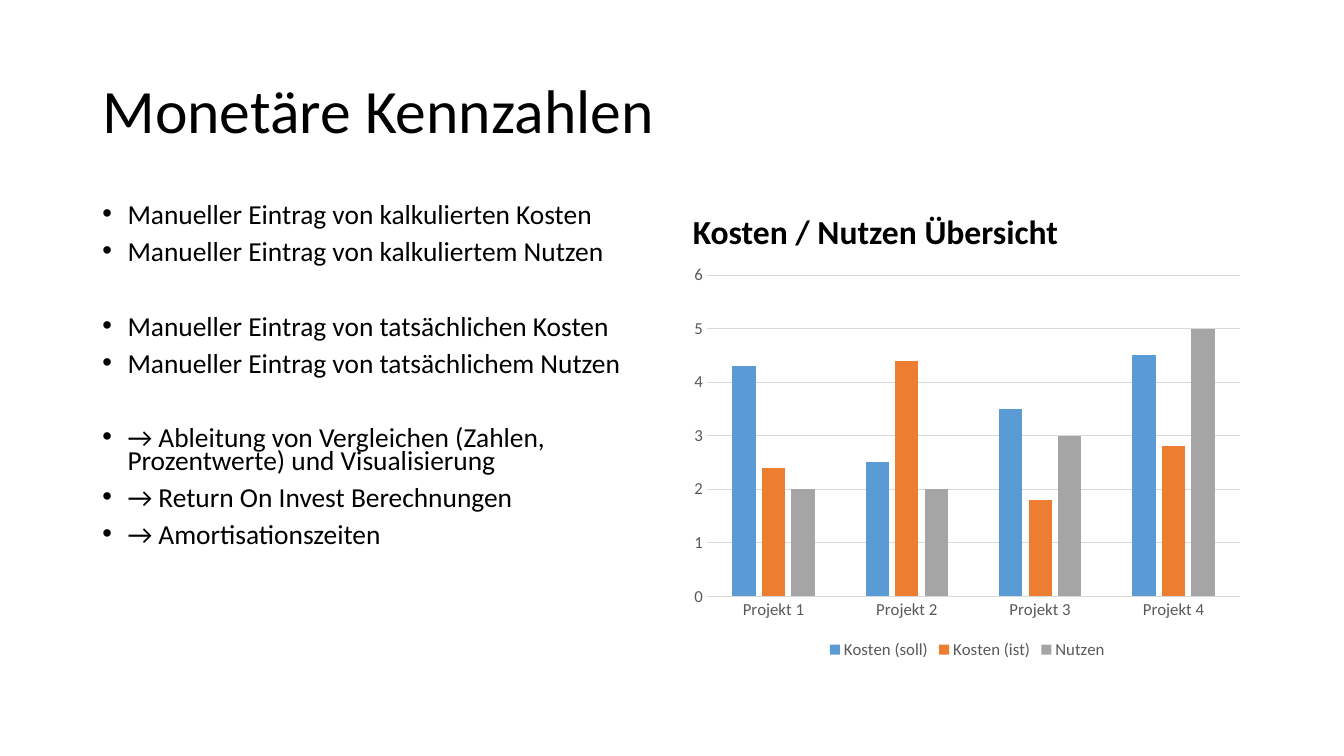
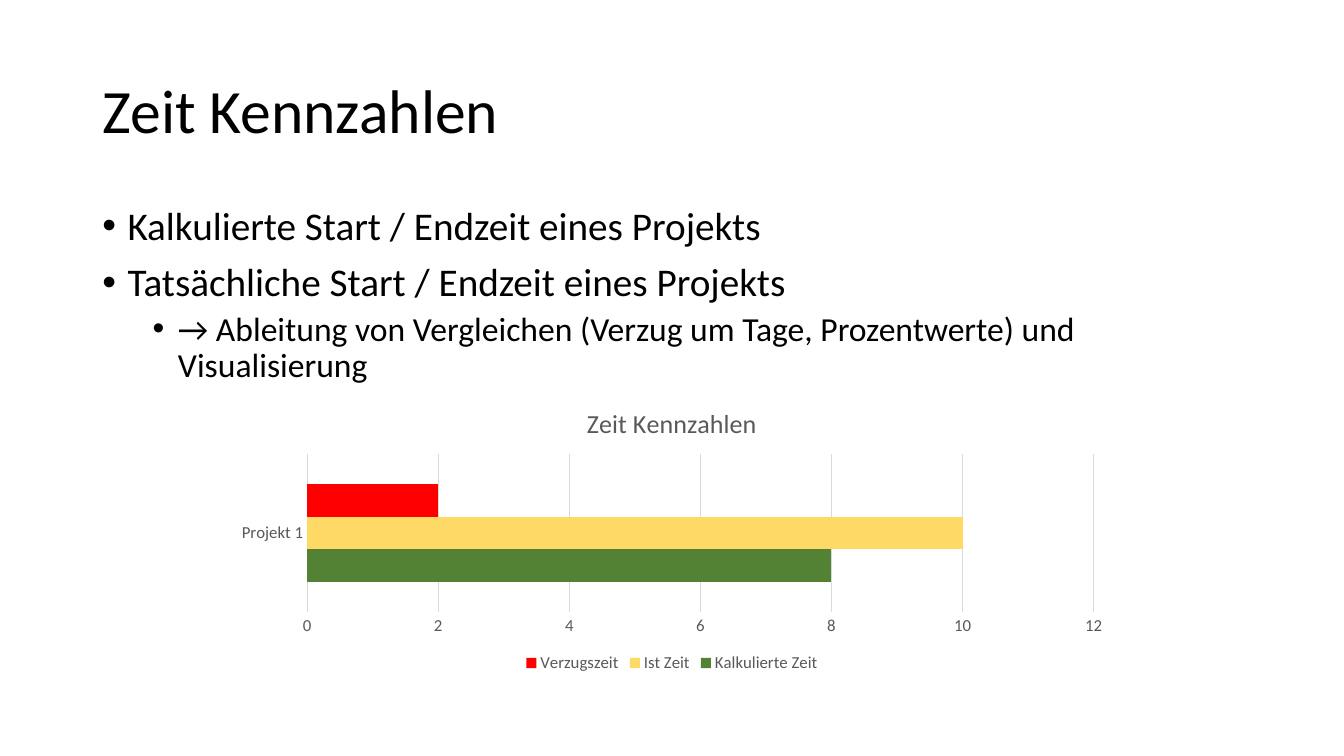
import dataclasses
import typing

import pptx
import pptx.chart.chart
import pptx.chart.data
import pptx.dml.color
import pptx.enum.chart
import pptx.enum.text
import pptx.oxml.ns
import pptx.oxml.xmlchemy
import pptx.slide
import pptx.text.text
import pptx.util
import lxml.etree


@dataclasses.dataclass(frozen=True)
class Theme:
    font: str = "Calibri"
    text: str = "000000"
    chart_text: str = "595959"
    grid: str = "D9D9D9"
    blue: str = "5B9BD5"
    orange: str = "ED7D31"
    gray: str = "A5A5A5"
    green: str = "548235"
    yellow: str = "FFD966"
    red: str = "FF0000"
    title_size: float = 44
    body_size: float = 28
    detail_size: float = 24
    compact_size: float = 19.6
    chart_title_size: float = 18.6
    chart_size: float = 12
    line_width: float = 0.75
    line_spacing: float = 0.9
    compact_spacing: float = 0.7


THEME = Theme()
WIDTH = pptx.util.Inches(13.33)
HEIGHT = pptx.util.Inches(7.5)
COLUMNS, ROWS = 160, 90
INDENT = pptx.util.Inches(0.25)


class Area(typing.NamedTuple):
    column: float
    row: float
    columns: float
    rows: float

    def formats(self) -> dict[str, int]:
        return {
            "left": round(WIDTH * self.column / COLUMNS),
            "top": round(HEIGHT * self.row / ROWS),
            "width": round(WIDTH * self.columns / COLUMNS),
            "height": round(HEIGHT * self.rows / ROWS),
        }


class Line(typing.NamedTuple):
    text: str
    size: float
    before: float = 10
    spacing: float = THEME.line_spacing
    level: int = 0
    bullet: bool = True
    bold: bool = False


class Series(typing.NamedTuple):
    name: str
    values: tuple[float, ...]
    color: str


@dataclasses.dataclass(frozen=True)
class ChartPlan:
    kind: pptx.enum.chart.XL_CHART_TYPE
    area: Area
    categories: tuple[str, ...]
    series: tuple[Series, ...]
    gap: int
    overlap: int = 0
    title: str = ""


@dataclasses.dataclass(frozen=True)
class TextPlan:
    area: Area
    lines: tuple[Line, ...]
    anchor: pptx.enum.text.MSO_ANCHOR = pptx.enum.text.MSO_ANCHOR.TOP


@dataclasses.dataclass(frozen=True)
class PagePlan:
    title: str
    texts: tuple[TextPlan, ...]
    chart: ChartPlan


def apply(target: object, formats: dict[str, typing.Any]) -> None:
    for name, value in formats.items():
        setattr(target, name, value)


def rgb(color: str) -> pptx.dml.color.RGBColor:
    return pptx.dml.color.RGBColor.from_string(color)


def style_font(font: pptx.text.text.Font, size: float, color: str, bold: bool = False) -> None:
    apply(font, {"name": THEME.font, "size": pptx.util.Pt(size), "bold": bold})
    font.color.rgb = rgb(color)


def add_bullet(para: pptx.text.text._Paragraph, level: int) -> None:
    properties = para._p.get_or_add_pPr()
    properties.set("marL", str(INDENT * (1 + 2 * level)))
    properties.set("indent", str(-INDENT))
    typeface = lxml.etree.SubElement(properties, pptx.oxml.ns.qn("a:buFont"))
    typeface.set("typeface", "Arial")
    bullet = lxml.etree.SubElement(properties, pptx.oxml.ns.qn("a:buChar"))
    bullet.set("char", "•")


def write_lines(frame: pptx.text.text.TextFrame, lines: tuple[Line, ...],
                anchor: pptx.enum.text.MSO_ANCHOR) -> None:
    apply(frame, {
        "word_wrap": True,
        "auto_size": pptx.enum.text.MSO_AUTO_SIZE.NONE,
        "vertical_anchor": anchor,
    })
    for index, line in enumerate(lines):
        para = frame.add_paragraph() if index else frame.paragraphs[0]
        apply(para, {
            "level": line.level,
            "alignment": pptx.enum.text.PP_ALIGN.LEFT,
            "line_spacing": line.spacing,
            "space_before": pptx.util.Pt(line.before),
        })
        if line.bullet:
            add_bullet(para, line.level)
        span = para.add_run()
        span.text = line.text
        style_font(span.font, line.size, THEME.text, line.bold)


def add_text(page: pptx.slide.Slide, plan: TextPlan) -> None:
    box = page.shapes.add_textbox(**plan.area.formats())
    write_lines(box.text_frame, plan.lines, plan.anchor)


def style_line(line: typing.Any) -> None:
    line.color.rgb = rgb(THEME.grid)
    line.width = pptx.util.Pt(THEME.line_width)


def style_axes(chart: pptx.chart.chart.Chart) -> None:
    for axis in (chart.category_axis, chart.value_axis):
        apply(axis, {
            "major_tick_mark": pptx.enum.chart.XL_TICK_MARK.NONE,
            "minor_tick_mark": pptx.enum.chart.XL_TICK_MARK.NONE,
        })
        style_font(axis.tick_labels.font, THEME.chart_size, THEME.chart_text)
    style_line(chart.category_axis.format.line)
    chart.category_axis.has_major_gridlines = False
    chart.value_axis.format.line.fill.background()
    chart.value_axis.has_major_gridlines = True
    style_line(chart.value_axis.major_gridlines.format.line)


def add_chart(page: pptx.slide.Slide, plan: ChartPlan) -> None:
    data = pptx.chart.data.CategoryChartData()
    data.categories = plan.categories
    for series in plan.series:
        data.add_series(series.name, series.values)
    area = plan.area.formats()
    chart = page.shapes.add_chart(
        plan.kind, area["left"], area["top"], area["width"], area["height"], data
    ).chart
    style_font(chart.font, THEME.chart_size, THEME.chart_text)
    apply(chart, {"has_title": bool(plan.title), "has_legend": True})
    apply(chart.legend, {
        "position": pptx.enum.chart.XL_LEGEND_POSITION.BOTTOM,
        "include_in_layout": False,
    })
    style_font(chart.legend.font, THEME.chart_size, THEME.chart_text)
    if plan.title:
        span = chart.chart_title.text_frame.paragraphs[0].add_run()
        span.text = plan.title
        style_font(span.font, THEME.chart_title_size, THEME.chart_text)
    style_axes(chart)
    plot = chart.plots[0]
    apply(plot, {"gap_width": plan.gap, "overlap": plan.overlap, "vary_by_categories": False})
    for drawn, series in zip(plot.series, plan.series):
        drawn.invert_if_negative = False
        drawn.format.fill.solid()
        drawn.format.fill.fore_color.rgb = rgb(series.color)


def add_page(deck: typing.Any, plan: PagePlan) -> None:
    page = deck.slides.add_slide(deck.slide_layouts.get_by_name("Title Only"))
    title = page.shapes.title
    apply(title, Area(11, 4.8, 138, 17.4).formats())
    line = Line(plan.title, THEME.title_size, before=0, bullet=False)
    write_lines(title.text_frame, (line,), pptx.enum.text.MSO_ANCHOR.MIDDLE)
    for text in plan.texts:
        add_text(page, text)
    add_chart(page, plan.chart)


def compact(text: str, before: float = 10) -> Line:
    return Line(text, THEME.compact_size, before, THEME.compact_spacing)


GROUP_GAP = 36.7

MONEY = PagePlan(
    "Monetäre Kennzahlen",
    (
        TextPlan(Area(11, 24, 65.5, 57.1), (
            compact("Manueller Eintrag von kalkulierten Kosten"),
            compact("Manueller Eintrag von kalkuliertem Nutzen"),
            compact("Manueller Eintrag von tatsächlichen Kosten", GROUP_GAP),
            compact("Manueller Eintrag von tatsächlichem Nutzen"),
            compact("→ Ableitung von Vergleichen (Zahlen, Prozentwerte) und Visualisierung", GROUP_GAP),
            compact("→ Return On Invest Berechnungen"),
            compact("→ Amortisationszeiten"),
        )),
        TextPlan(
            Area(81.3, 19.8, 67.7, 10.8),
            (Line("Kosten / Nutzen Übersicht", THEME.detail_size, bullet=False, bold=True),),
            pptx.enum.text.MSO_ANCHOR.BOTTOM,
        ),
    ),
    ChartPlan(
        pptx.enum.chart.XL_CHART_TYPE.COLUMN_CLUSTERED,
        Area(81.3, 30.6, 67.7, 48.4),
        ("Projekt 1", "Projekt 2", "Projekt 3", "Projekt 4"),
        (
            Series("Kosten (soll)", (4.3, 2.5, 3.5, 4.5), THEME.blue),
            Series("Kosten (ist)", (2.4, 4.4, 1.8, 2.8), THEME.orange),
            Series("Nutzen", (2, 2, 3, 5), THEME.gray),
        ),
        gap=219,
        overlap=-27,
    ),
)

TIME = PagePlan(
    "Zeit Kennzahlen",
    (
        TextPlan(Area(11, 24, 138, 57.1), (
            Line("Kalkulierte Start / Endzeit eines Projekts", THEME.body_size),
            Line("Tatsächliche Start / Endzeit eines Projekts", THEME.body_size),
            Line(
                "→ Ableitung von Vergleichen (Verzug um Tage, Prozentwerte) und Visualisierung",
                THEME.detail_size, before=5, level=1,
            ),
        )),
    ),
    ChartPlan(
        pptx.enum.chart.XL_CHART_TYPE.BAR_CLUSTERED,
        Area(26.65, 46.3, 106.7, 34.3),
        ("Projekt 1",),
        (
            Series("Kalkulierte Zeit", (8,), THEME.green),
            Series("Ist Zeit", (10,), THEME.yellow),
            Series("Verzugszeit", (2,), THEME.red),
        ),
        gap=182,
        title="Zeit Kennzahlen",
    ),
)


def main() -> None:
    deck = pptx.Presentation()
    apply(deck, {"slide_width": WIDTH, "slide_height": HEIGHT})
    for plan in (MONEY, TIME):
        add_page(deck, plan)
    deck.save("out.pptx")


if __name__ == "__main__":
    main()
